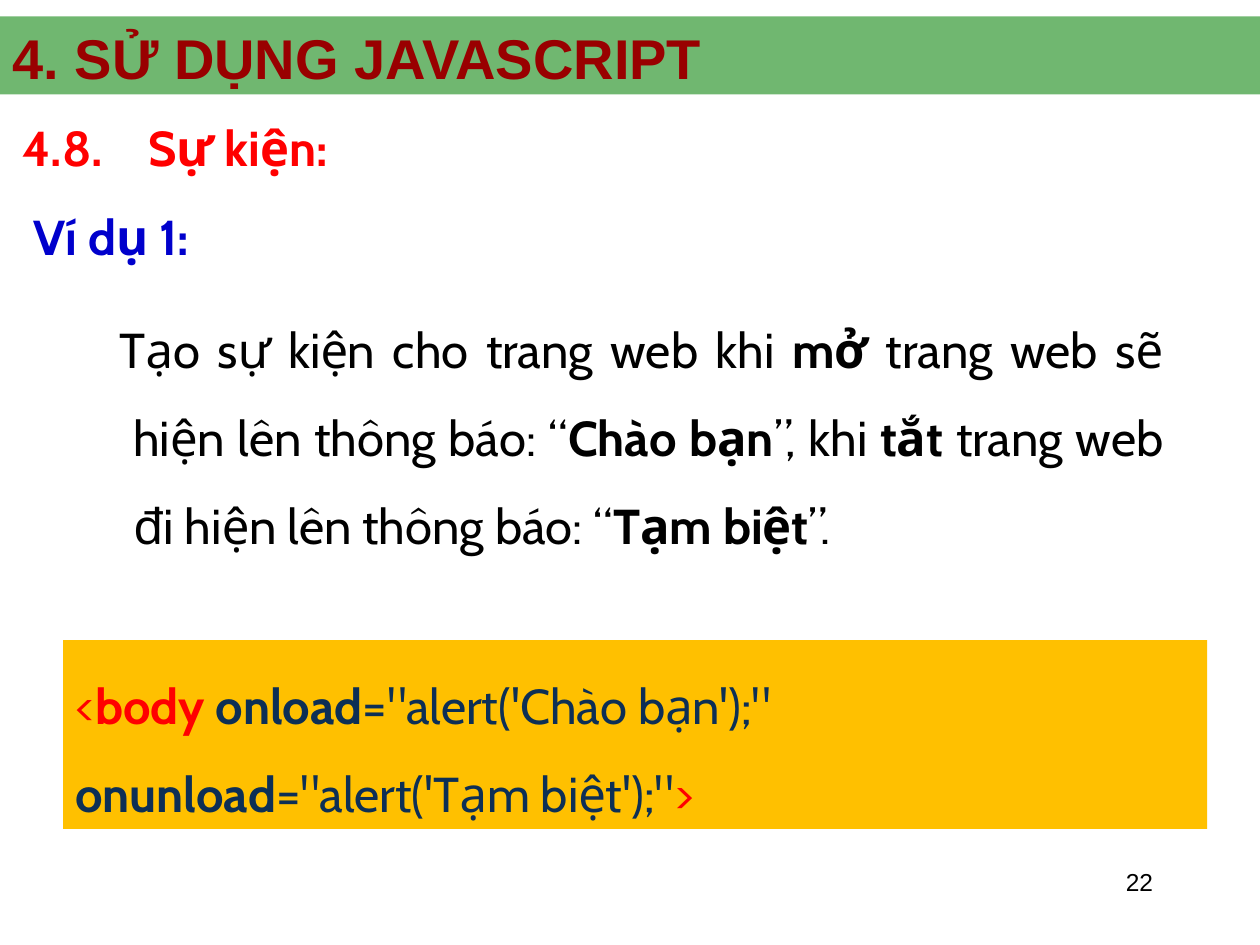
import pptx
import pptx.util
import pptx.dml.color
import pptx.enum.shapes
import pptx.enum.text
import pptx.oxml.ns
import lxml.etree

Inches, Pt = pptx.util.Inches, pptx.util.Pt
RGBColor = pptx.dml.color.RGBColor
ANCHOR = pptx.enum.text.MSO_ANCHOR
ALIGN = pptx.enum.text.PP_ALIGN
RECTANGLE = pptx.enum.shapes.MSO_SHAPE.RECTANGLE

GREEN = RGBColor(0x00, 0x80, 0x00)
MAROON = RGBColor(0x99, 0x00, 0x00)
RED = RGBColor(0xFF, 0x00, 0x00)
BLUE = RGBColor(0x00, 0x00, 0xCC)
NAVY = RGBColor(0x0D, 0x2F, 0x55)
BLACK = RGBColor(0x00, 0x00, 0x00)
AMBER = RGBColor(0xFF, 0xC0, 0x00)

WIDTH, HEIGHT = 10, 7.5
BAND_OPACITY = 56
BODY_FONT, BODY_SIZE = "Cabin", 28
HEAD_FONT = "Arial"

TITLE = [("4. SỬ DỤNG JAVASCRIPT", True, MAROON)]
SECTION = [("4.8.\tSự kiện:", True, RED)]
EXAMPLE = [("Ví dụ 1:", True, BLUE)]
TASK = [
    ("Tạo sự kiện cho trang web khi ", False, BLACK),
    ("mở", True, BLACK),
    (" trang web sẽ hiện lên thông báo: “", False, BLACK),
    ("Chào bạn", True, BLACK),
    ("”, khi ", False, BLACK),
    ("tắt ", True, BLACK),
    ("trang web đi hiện lên thông báo: “", False, BLACK),
    ("Tạm biệt", True, BLACK),
    ("”.", False, BLACK),
]
CODE = [
    ("<", False, RED),
    ("body ", True, RED),
    ("onload", True, NAVY),
    ("=\"alert('Chào bạn');\" ", False, NAVY),
    ("onunload", True, NAVY),
    ("=\"alert('Tạm biệt');\"", False, NAVY),
    (">", False, RED),
]
PAGE = [("22", False, BLACK)]


def write(sp, runs, font=BODY_FONT, size=BODY_SIZE, align=ALIGN.LEFT,
          anchor=ANCHOR.TOP, spacing=1.0):
    tf = sp.text_frame
    tf.word_wrap = True
    tf.auto_size = pptx.enum.text.MSO_AUTO_SIZE.NONE
    tf.vertical_anchor = anchor
    p = tf.paragraphs[0]
    p.alignment = align
    p.line_spacing = spacing
    for text, bold, color in runs:
        r = p.add_run()
        r.text = text
        r.font.name = font
        r.font.size = Pt(size)
        r.font.bold = bold
        r.font.color.rgb = color
    return p


def add_text(s, box, runs, **style):
    return write(s.shapes.add_textbox(*map(Inches, box)), runs, **style)


def add_rectangle(s, box, color):
    sp = s.shapes.add_shape(RECTANGLE, *map(Inches, box))
    sp.shadow.inherit = False
    sp.fill.solid()
    sp.fill.fore_color.rgb = color
    sp.line.fill.background()
    return sp


def add_band(s, title):
    band = add_rectangle(s, (0, 0.13, WIDTH, 0.62), GREEN)
    color = band.fill._xPr.find(".//" + pptx.oxml.ns.qn("a:srgbClr"))
    lxml.etree.SubElement(color, pptx.oxml.ns.qn("a:alpha"), val=str(BAND_OPACITY * 1000))
    title._element.addprevious(band._element)


def main():
    prs = pptx.Presentation()
    prs.slide_width, prs.slide_height = Inches(WIDTH), Inches(HEIGHT)
    s = prs.slides.add_slide(prs.slide_layouts[5])

    title = s.shapes.title
    title.left, title.top, title.width, title.height = map(Inches, (0, 0.24, WIDTH, 0.42))
    write(title, TITLE, HEAD_FONT, 32, anchor=ANCHOR.MIDDLE)
    add_band(s, title)

    add_text(s, (0.08, 0.83, 9.5, 0.67), SECTION, anchor=ANCHOR.MIDDLE)
    add_text(s, (0.17, 1.58, 9.5, 0.58), EXAMPLE, anchor=ANCHOR.MIDDLE)
    p = add_text(s, (0.58, 2.25, 8.75, 2.33), TASK, align=ALIGN.JUSTIFY, spacing=1.5)
    pPr = p._p.get_or_add_pPr()
    pPr.set("marL", str(Inches(0.38)))
    pPr.set("indent", str(Inches(-0.11)))

    write(add_rectangle(s, (0.5, 5.08, 9.08, 1.5), AMBER), CODE, spacing=1.5)
    add_text(s, (7.17, 6.83, 2.08, 0.5), PAGE, font=HEAD_FONT, size=14, align=ALIGN.RIGHT)
    prs.save("out.pptx")


if __name__ == "__main__":
    main()
